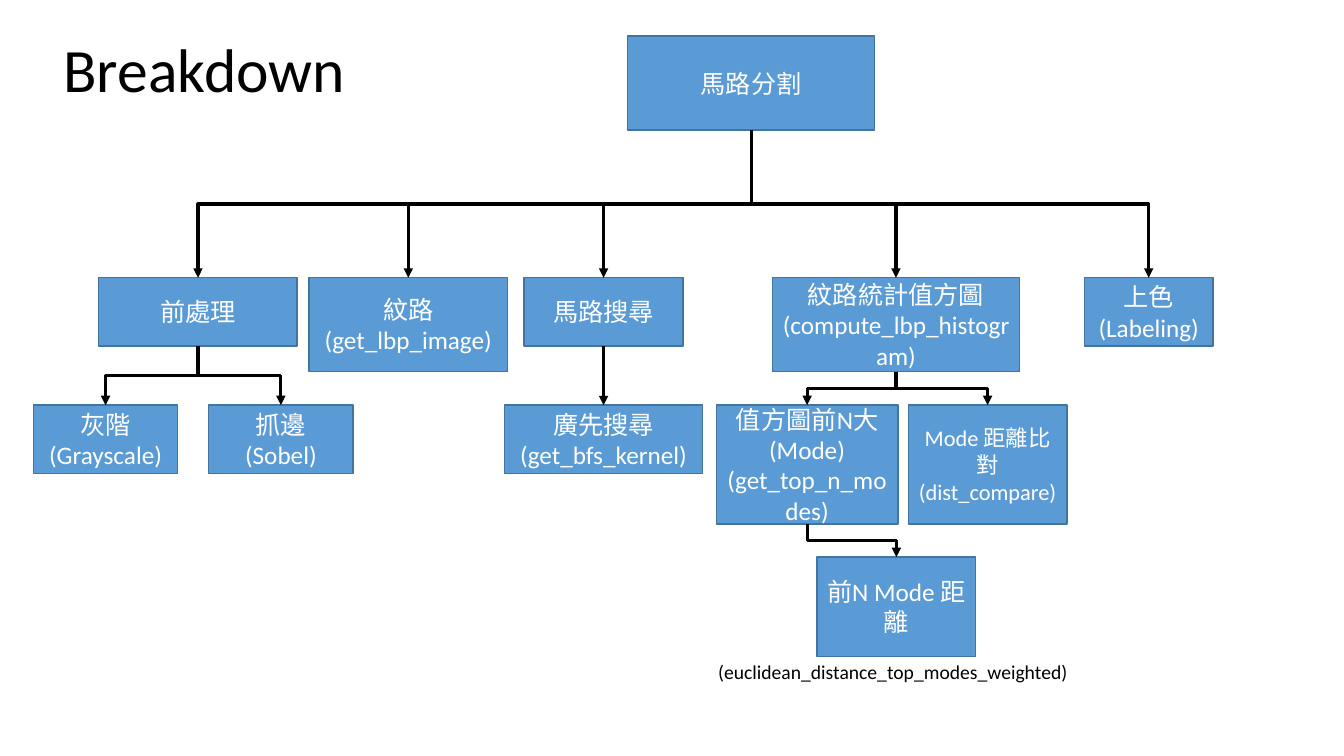
from dataclasses import dataclass

from lxml import etree
from pptx import Presentation
from pptx.dml.color import RGBColor
from pptx.enum.shapes import MSO_CONNECTOR, MSO_SHAPE
from pptx.enum.text import MSO_ANCHOR, PP_ALIGN
from pptx.oxml.ns import qn
from pptx.util import Cm, Pt

RECT = MSO_SHAPE.RECTANGLE
ELBOW, STRAIGHT = MSO_CONNECTOR.ELBOW, MSO_CONNECTOR.STRAIGHT
LEFT, CENTER = PP_ALIGN.LEFT, PP_ALIGN.CENTER
TOP, MIDDLE = MSO_ANCHOR.TOP, MSO_ANCHOR.MIDDLE
FONT = "Calibri"
BLUE, EDGE, WHITE, BLACK = "5B9BD5", "43739E", "FFFFFF", "000000"
TOP_SITE, LOW_SITE = 0, 2


@dataclass
class Node:
    key: str
    text: str
    left: float
    top: float
    width: float
    height: float
    parent: str = ""
    size: int = 18


@dataclass
class Label:
    text: str
    left: float
    top: float
    width: float
    height: float
    size: int
    align: PP_ALIGN
    anchor: MSO_ANCHOR
    spacing: float = 1.0


# Tree rows, in centimetres
ROW1, ROW2, ROW3, ROW4 = 0.91, 7.0, 10.21, 14.04
LOW, MID, TALL = 1.72, 2.37, 3.0

NODES = [
    Node("root", "馬路分割", 15.82, ROW1, 6.22, MID),
    Node("prep", "前處理", 2.49, ROW2, 5.0, LOW, "root"),
    Node("image", "紋路\n(get_lbp_image)", 7.79, ROW2, 5.0, MID, "root"),
    Node("search", "馬路搜尋", 13.21, ROW2, 4.0, LOW, "root"),
    Node("chart", "紋路統計值方圖\n(compute_lbp_histogram)", 19.47, ROW2, 6.22, MID, "root"),
    Node("color", "上色\n(Labeling)", 27.33, ROW2, 3.24, LOW, "root"),
    Node("gray", "灰階\n(Grayscale)", 0.84, ROW3, 3.64, LOW, "prep"),
    Node("sobel", "抓邊\n(Sobel)", 5.26, ROW3, 3.64, LOW, "prep"),
    Node("bfs", "廣先搜尋(get_bfs_kernel)", 12.71, ROW3, 5.0, LOW, "search"),
    Node("modes", "值方圖前N大 (Mode)\n(get_top_n_modes)", 18.05, ROW3, 4.58, TALL, "chart"),
    Node("match", "Mode 距離比對\n(dist_compare)", 22.89, ROW3, 4.0, TALL, "chart", 16),
    Node("gap", "前N Mode 距離", 20.59, ROW4, 4.0, 2.5, "modes"),
]

LABELS = [
    Label("Breakdown", 1.35, 0, 29.21, 3.68, 44, LEFT, MIDDLE, 0.9),
    Label("(euclidean_distance_top_modes_weighted)", 17.68, 16.51, 9.65, 0.86, 14, CENTER, TOP),
]


def color(code: str) -> RGBColor:
    return RGBColor.from_string(code)


def write(frame, text: str, size: int, code: str, align: PP_ALIGN, spacing: float = 1.0) -> None:
    frame.word_wrap = True
    frame.text = text
    for para in frame.paragraphs:
        para.alignment = align
        para.line_spacing = spacing
        para.font.name = FONT
        para.font.size = Pt(size)
        para.font.color.rgb = color(code)


def draw_node(shapes, node: Node):
    box = shapes.add_shape(RECT, Cm(node.left), Cm(node.top), Cm(node.width), Cm(node.height))
    box.shadow.inherit = False
    box.fill.solid()
    box.fill.fore_color.rgb = color(BLUE)
    box.line.color.rgb = color(EDGE)
    box.line.width = Pt(1)
    box.text_frame.vertical_anchor = MIDDLE
    write(box.text_frame, node.text, node.size, WHITE, CENTER)
    return box


def draw_label(shapes, label: Label) -> None:
    box = shapes.add_textbox(Cm(label.left), Cm(label.top), Cm(label.width), Cm(label.height))
    box.text_frame.vertical_anchor = label.anchor
    write(box.text_frame, label.text, label.size, BLACK, label.align, label.spacing)


def draw_link(shapes, start, end) -> None:
    x1, y1 = start.left + start.width // 2, start.top + start.height
    x2, y2 = end.left + end.width // 2, end.top
    bent = abs(x2 - x1) > Cm(0.1)
    link = shapes.add_connector(ELBOW if bent else STRAIGHT, x1, y1, x2, y2)
    link.begin_connect(start, LOW_SITE)
    link.end_connect(end, TOP_SITE)
    props = link._element.spPr
    if bent:
        # An elbow leaves sideways, so turn it to leave downward
        wide, high = abs(x2 - x1), y2 - y1
        link.left, link.top = (x1 + x2 - high) // 2, (y1 + y2 - wide) // 2
        link.width, link.height = high, wide
        right = x2 > x1
        frame = props.find(qn("a:xfrm"))
        frame.rot = 270 if right else 90
        frame.flipH, frame.flipV = right, False
    link.line.color.rgb = color(BLACK)
    link.line.width = Pt(2.25)
    etree.SubElement(props.find(qn("a:ln")), qn("a:tailEnd"), type="triangle")
    etree.SubElement(props, qn("a:effectLst"))


def main() -> None:
    deck = Presentation()
    deck.slide_width, deck.slide_height = Cm(33.87), Cm(19.05)
    shapes = deck.slides.add_slide(deck.slide_layouts[6]).shapes

    # Title and caption
    for label in LABELS:
        draw_label(shapes, label)

    # Boxes, then the arrows from each parent
    boxes = {node.key: draw_node(shapes, node) for node in NODES}
    for node in NODES:
        if node.parent:
            draw_link(shapes, boxes[node.parent], boxes[node.key])

    deck.save("out.pptx")


if __name__ == "__main__":
    main()
